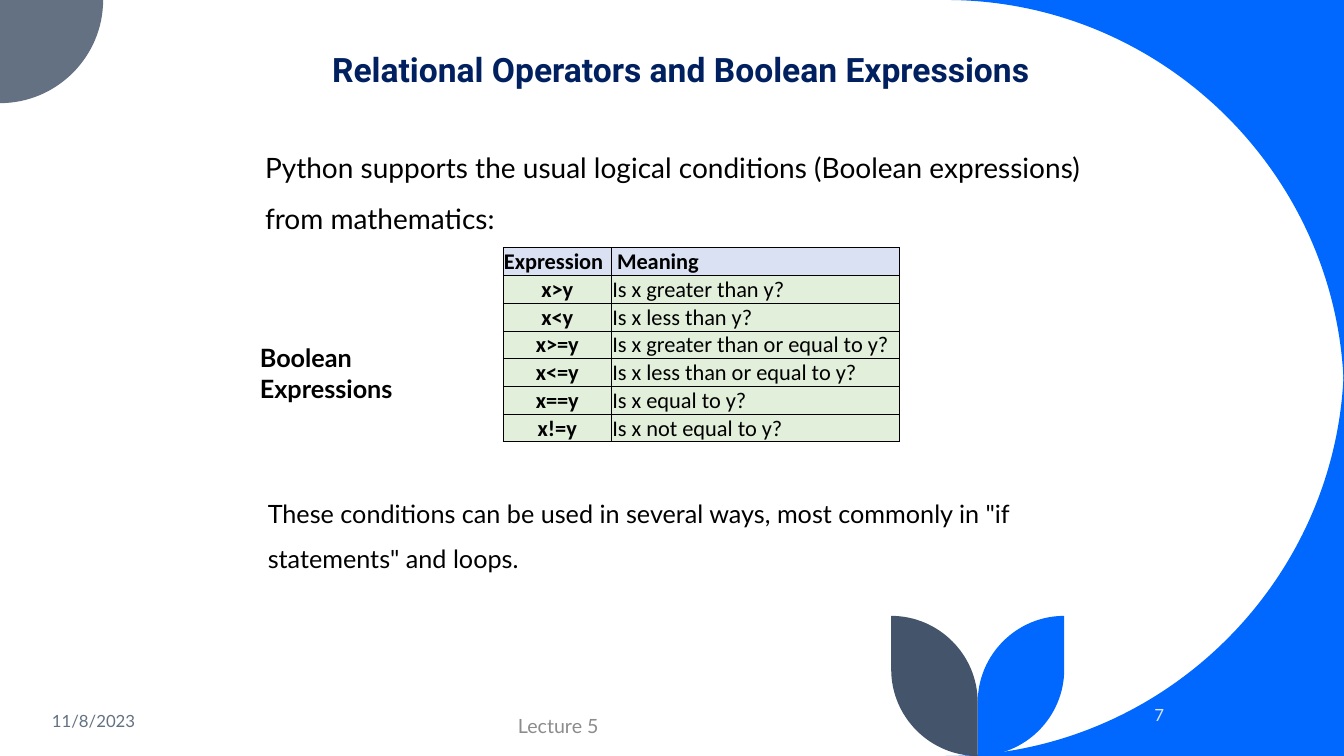
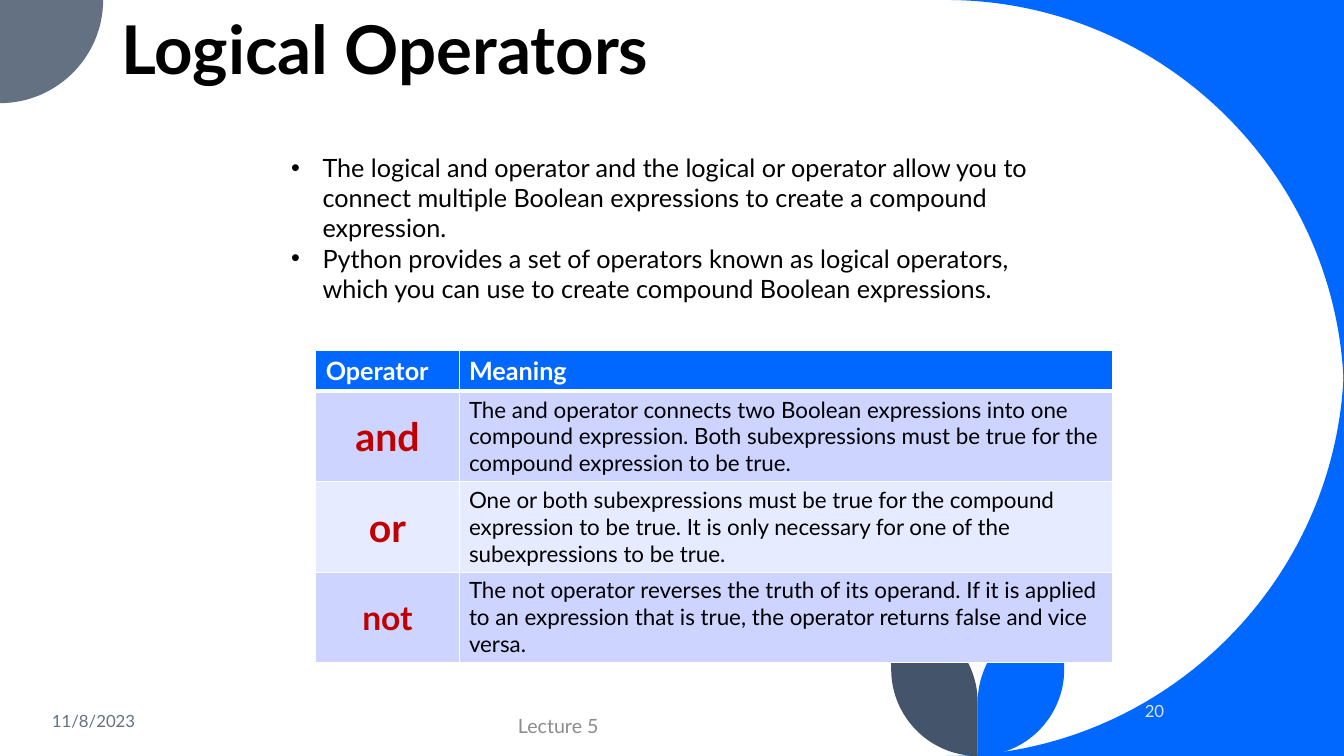
from dataclasses import dataclass

from lxml import etree
from pptx import Presentation
from pptx import util as u
from pptx.dml.color import RGBColor
from pptx.enum import text
from pptx.oxml import ns

LEFT, CENTER, RIGHT = text.PP_ALIGN.LEFT, text.PP_ALIGN.CENTER, text.PP_ALIGN.RIGHT
TOP, MIDDLE, BOTTOM = text.MSO_ANCHOR.TOP, text.MSO_ANCHOR.MIDDLE, text.MSO_ANCHOR.BOTTOM


@dataclass(frozen=True)
class Theme:
    font: str = "Lato"
    heading_font: str = "Roboto"
    grid_font: str = "Calibri"

    blue: str = "0068FF"
    slate: str = "637183"
    dark_slate: str = "44546A"
    navy: str = "002060"
    red: str = "C00000"
    black: str = "000000"
    white: str = "FFFFFF"
    footer_gray: str = "8C8C8C"
    number_gray: str = "DAE5EF"
    grid_header: str = "D9E1F2"
    grid_body: str = "E2EFDA"
    band_dark: str = "CCD4FF"
    band_light: str = "E7EBFF"

    title: float = 48
    heading: float = 24
    lead: float = 20
    body: float = 18
    table_body: float = 16
    operator: float = 28
    operator_small: float = 24
    footer: float = 14
    small: float = 12


def quarter(start, corner, end, pull=0.55):
    controls = [tuple(p + pull * (q - p) for p, q in zip(point, corner))
                for point in (start, end)]
    return [*controls, end]


def assign(target, values):
    for name, value in values.items():
        setattr(target, name, value)


class Deck:
    width, height = 33.87, 19.05

    def __init__(self, theme):
        self.theme = theme
        self.file = Presentation()
        assign(self.file, {"slide_width": u.Cm(self.width), "slide_height": u.Cm(self.height)})
        self.slide = None

    def new_slide(self, number, number_top):
        self.slide = self.file.slides.add_slide(self.file.slide_layouts[6])
        self.decorate()
        t = self.theme
        self.words((10.26, 17.78, 7.62, 1.02), ["Lecture 5"], size=t.footer,
                   color=t.footer_gray, align=CENTER, anchor=MIDDLE)
        self.words((28.42, number_top, 1.17, 1.02), [number], size=t.small,
                   color=t.number_gray, align=RIGHT, anchor=MIDDLE)
        self.words((1.06, 17.65, 7.62, 1.02), ["11/8/2023"], size=t.small,
                   color=t.slate, anchor=MIDDLE)

    def decorate(self):
        t = self.theme
        w, h = self.width, self.height
        sweep, corner, leaf, stem, leaf_top = 10.03, 2.6, 2.18, 24.64, 15.52
        for edge, turn in ((0, sweep), (h, h - sweep)):
            start, end = (w - sweep, edge), (w, turn)
            self.outline(start, [quarter(start, (w, edge), end), [(w, edge)]], t.blue)
        self.outline((corner, 0), [quarter((corner, 0), (corner, corner), (0, corner)),
                                   [(0, 0)]], t.slate)
        for tip, color in ((stem + leaf, t.blue), (stem - leaf, t.dark_slate)):
            side, root, fold = (tip, h - leaf), (stem, h), (stem, leaf_top + leaf)
            self.outline((tip, leaf_top), [
                [side], quarter(side, (tip, h), root),
                [fold], quarter(fold, (stem, leaf_top), (tip, leaf_top)),
            ], color)

    def outline(self, start, steps, color):
        points = [(u.Cm(x), u.Cm(y)) for step in steps for x, y in step]
        builder = self.slide.shapes.build_freeform(*map(u.Cm, start))
        builder.add_line_segments(points, close=True)
        shape = builder.convert_to_shape()
        lines = iter(shape._element.xpath(".//a:path/a:lnTo"))
        for step in steps:
            first, *others = [next(lines) for _ in step]
            if others:
                first.tag = ns.qn("a:cubicBezTo")
            for line in others:
                first.append(line[0])
                line.getparent().remove(line)
        shape.shadow.inherit = False
        shape.fill.solid()
        shape.fill.fore_color.rgb = RGBColor.from_string(color)
        shape.line.fill.background()

    def paragraph(self, para, content, size, color, font=None, bold=False, align=LEFT, spacing=1.0):
        assign(para, {"alignment": align, "line_spacing": spacing})
        run = para.add_run()
        run.text = content
        assign(run.font, {"name": font or self.theme.font, "size": u.Pt(size), "bold": bold})
        run.font.color.rgb = RGBColor.from_string(color)

    def words(self, box, lines, anchor=TOP, bullet=None, **look):
        frame = self.slide.shapes.add_textbox(*map(u.Cm, box)).text_frame
        assign(frame, {"word_wrap": True, "vertical_anchor": anchor})
        for i, line in enumerate(lines):
            para = frame.add_paragraph() if i else frame.paragraphs[0]
            self.paragraph(para, line, **look)
            if bullet:
                self.bullet(para, bullet)

    def bullet(self, para, mark, indent=0.79):
        props = para._p.get_or_add_pPr()
        props.set("marL", str(u.Cm(indent)))
        props.set("indent", str(-u.Cm(indent)))
        etree.SubElement(props, ns.qn("a:buFont")).set("typeface", "Arial")
        etree.SubElement(props, ns.qn("a:buChar")).set("char", mark)

    def table(self, corner, widths, heights, rows, insets, line, outer, inner, under_header):
        left, top = map(u.Cm, corner)
        table = self.slide.shapes.add_table(
            len(heights), len(widths), left, top,
            u.Cm(sum(widths)), u.Cm(sum(heights))).table
        assign(table, {"first_row": False, "horz_banding": False})
        for column, width in zip(table.columns, widths):
            column.width = u.Cm(width)
        for row, height in zip(table.rows, heights):
            row.height = u.Cm(height)
        across = [outer] + [inner] * (len(widths) - 1) + [outer]
        down = [outer, under_header] + [inner] * (len(heights) - 2) + [outer]
        for r, row in enumerate(rows):
            for c, (content, look) in enumerate(row):
                cell = table.cell(r, c)
                self.cell(cell, content, insets, **look)
                self.borders(cell, line, {"lnL": across[c], "lnR": across[c + 1],
                                          "lnT": down[r], "lnB": down[r + 1]})

    def cell(self, cell, content, insets, fill, anchor=TOP, indent=0, **look):
        side, above, below = insets
        assign(cell, {"margin_left": u.Cm(side + indent), "margin_right": u.Cm(side),
                      "margin_top": u.Cm(above), "margin_bottom": u.Cm(below),
                      "vertical_anchor": anchor})
        cell.fill.solid()
        cell.fill.fore_color.rgb = RGBColor.from_string(fill)
        self.paragraph(cell.text_frame.paragraphs[0], content, **look)

    def borders(self, cell, color, edges):
        props = cell._tc.get_or_add_tcPr()
        for i, (edge, points) in enumerate(edges.items()):
            line = etree.Element(ns.qn("a:" + edge), w=str(u.Pt(points)))
            fill = etree.SubElement(line, ns.qn("a:solidFill"))
            etree.SubElement(fill, ns.qn("a:srgbClr")).set("val", color)
            props.insert(i, line)


def relational_operators(deck):
    t = deck.theme
    deck.new_slide("7", 17.5)
    deck.words((8.12, 1.12, 19.1, 1.27), ["Relational Operators and Boolean Expressions"],
               font=t.heading_font, size=t.heading, color=t.navy, bold=True)
    deck.words((6.43, 3.25, 22.02, 2.69),
               ["Python supports the usual logical conditions (Boolean expressions) "
                "from mathematics:"], size=t.lead, color=t.black, spacing=1.5)

    base = dict(font=t.grid_font, size=t.table_body, color=t.black, anchor=MIDDLE)
    header = dict(base, bold=True, fill=t.grid_header)
    meaning = dict(base, fill=t.grid_body)
    expression = dict(meaning, bold=True, align=CENTER)
    comparisons = [
        ("x>y", "Is x greater than y?"),
        ("x<y", "Is x less than y?"),
        ("x>=y", "Is x greater than or equal to y?"),
        ("x<=y", "Is x less than or equal to y?"),
        ("x==y", "Is x equal to y?"),
        ("x!=y", "Is x not equal to y?"),
    ]
    rows = [[("Expression", header), ("Meaning", dict(header, indent=0.12))]]
    rows += [[(sign, expression), (question, meaning)] for sign, question in comparisons]
    deck.table((12.68, 6.24), [2.73, 7.26], [0.7] * len(rows), rows,
               insets=(0.02, 0.02, 0), line=t.black, outer=1, inner=0.5, under_header=0.5)

    deck.words((6.5, 12.04, 21.26, 2.44),
               ["These conditions can be used in several ways, most commonly in "
                "\"if statements\" and loops."], size=t.body, color=t.black, spacing=1.5)
    deck.words((6.3, 8.51, 6.15, 1.8), ["Boolean Expressions"],
               size=t.body, color=t.black, bold=True)


def logical_operators(deck):
    t = deck.theme
    deck.new_slide("20", 17.4)
    deck.words((2.81, -0.05, 27.15, 2.41), ["Logical Operators"], size=t.title,
               color=t.black, bold=True, anchor=BOTTOM, spacing=0.9)
    deck.words((7.09, 3.71, 19.69, 4.09), [
        "The logical and operator and the logical or operator allow you to connect "
        "multiple Boolean expressions to create a compound expression.",
        "Python provides a set of operators known as logical operators, which you can "
        "use to create compound Boolean expressions.",
    ], size=t.body, color=t.black, bullet="•")

    header = dict(size=t.body, color=t.white, bold=True, fill=t.blue)
    operators = [
        ("and", t.operator, t.band_dark,
         "The and operator connects two Boolean expressions into one compound expression. "
         "Both subexpressions must be true for the compound expression to be true."),
        ("or", t.operator, t.band_light,
         "One or both subexpressions must be true for the compound expression to be true. "
         "It is only necessary for one of the subexpressions to be true."),
        ("not", t.operator_small, t.band_dark,
         "The not operator reverses the truth of its operand. If it is applied to an "
         "expression that is true, the operator returns false and vice versa."),
    ]
    rows = [[("Operator", header), ("Meaning", header)]]
    for operator, size, band, meaning in operators:
        rows.append([
            (operator, dict(size=size, color=t.red, bold=True, fill=band,
                            align=CENTER, anchor=MIDDLE)),
            (meaning, dict(size=t.table_body, color=t.black, fill=band)),
        ])
    deck.table((7.96, 8.84), [3.61, 16.48], [1.02] + [2.28] * len(operators), rows,
               insets=(0.25, 0.12, 0.12), line=t.white, outer=1, inner=1, under_header=3)


def main():
    deck = Deck(Theme())
    relational_operators(deck)
    logical_operators(deck)
    deck.file.save("out.pptx")


if __name__ == "__main__":
    main()
